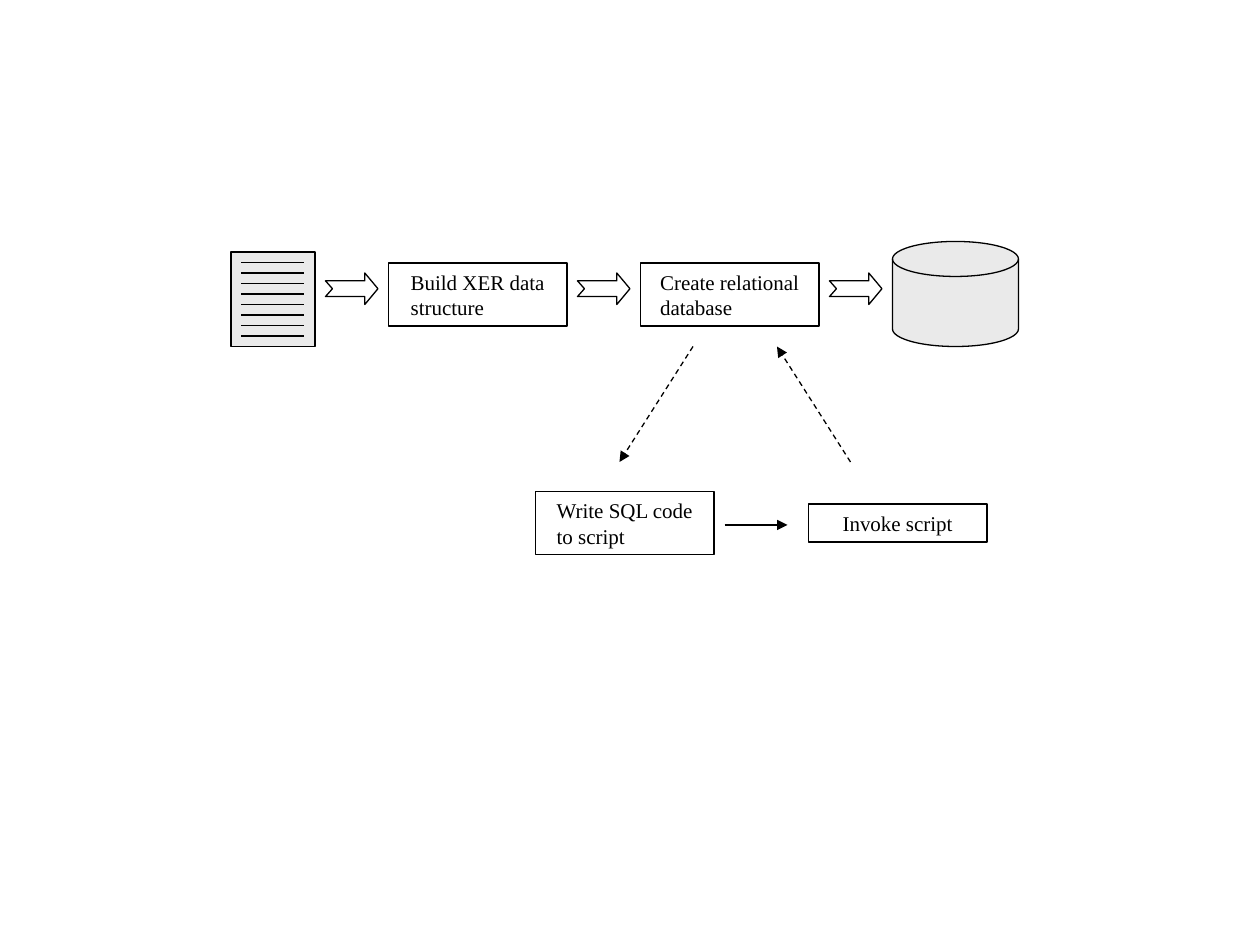
from pptx import Presentation
from pptx.util import Pt
from pptx.dml.color import RGBColor as RGB
from pptx.enum.dml import MSO_LINE as Dash
from pptx.enum.shapes import MSO_SHAPE as Shape, MSO_CONNECTOR as Link
from pptx.enum.text import MSO_ANCHOR as Anchor, PP_ALIGN as Align
from pptx.oxml.ns import qn
from lxml.etree import SubElement as Sub

COLORS = {"ink": "000000", "paper": "FFFFFF", "gray": "EAEAEA"}
FONT = "Times New Roman"
STEP = 144  # distance between stages of the upper row


def color(name):
    return RGB.from_string(COLORS[name])


def write(frame, text, size=12, ink="ink", align=Align.LEFT):
    """Put one paragraph in a frame, its block centred in the shape."""
    frame.word_wrap = True
    frame.vertical_anchor = Anchor.MIDDLE
    frame._txBody.bodyPr.set("anchorCtr", "1")
    par = frame.paragraphs[0]
    par.alignment = align
    run = par.add_run()
    run.text = text
    run.font.name = FONT
    run.font.size = Pt(size)
    run.font.color.rgb = color(ink)


class Flow:
    def __init__(self, slide, ink="ink", width=0.75):
        self.slide = slide
        self.ink = ink
        self.width = width

    def style(self, item, fill=None):
        item.shadow.inherit = False
        if fill:
            item.fill.solid()
            item.fill.fore_color.rgb = color(fill)
        else:
            item.fill.background()
        self.stroke(item)

    def stroke(self, item):
        item.line.color.rgb = color(self.ink)
        item.line.width = Pt(self.width)

    def shape(self, kind, x, y, w, h, fill=None, home=None):
        home = home or self.slide.shapes
        item = home.add_shape(kind, Pt(x), Pt(y), Pt(w), Pt(h))
        self.style(item, fill)
        return item

    def box(self, text, x, y, h=36, w=102):
        item = self.shape(Shape.RECTANGLE, x, y, w, h)
        write(item.text_frame, text)

    def line(self, start, end, dash=None, head=False, home=None):
        home = home or self.slide.shapes
        item = home.add_connector(Link.STRAIGHT, *map(Pt, start + end))
        self.stroke(item)
        if dash:
            item.line.dash_style = dash
        if head:
            Sub(item.line._get_or_add_ln(), qn("a:tailEnd"), type="triangle")
        Sub(item._element.spPr, qn("a:effectLst"))

    def page(self, x, y, w=48, h=54, gap=6, rows=8):
        home = self.slide.shapes.add_group_shape().shapes
        self.shape(Shape.RECTANGLE, x, y, w, h, "gray", home)
        for row in range(1, rows + 1):
            top = y + gap * row
            self.line((x + gap, top), (x + w - gap, top), home=home)

    def arrow(self, x, y, w=30, h=18, tip=7.5, notch=4):
        neck, mid = w - tip, h / 2
        high, low = h / 4, h * 3 / 4
        dots = [(0, high), (neck, high), (neck, 0), (w, mid), (neck, h),
                (neck, low), (0, low), (notch, mid)]
        dots = [(Pt(x + dx), Pt(y + dy)) for dx, dy in dots]
        path = self.slide.shapes.build_freeform(*dots[0])
        path.add_line_segments(dots[1:], close=True)
        self.style(path.convert_to_shape(), "paper")


def main():
    deck = Presentation()
    deck.slide_width, deck.slide_height = Pt(720), Pt(540)
    flow = Flow(deck.slides.add_slide(deck.slide_layouts[6]))

    # Upper row: source page, two steps, database
    for i, text in enumerate(["Build XER data structure",
                              "Create relational database"]):
        flow.box(text, 222 + STEP * i, 150.3)
    flow.page(132, 144)
    flow.shape(Shape.FLOWCHART_MAGNETIC_DISK, 510, 138, 72, 60, "gray")
    for i in range(3):
        flow.arrow(186 + STEP * i, 156)

    # Lower row: how the database is created
    flow.box("Write SQL code to script", 306, 281)
    flow.box("Invoke script", 462, 288, h=21.8)
    flow.line((414, 300), (450, 300), head=True)

    # Dashed detour between the rows
    flow.line((396, 198), (354, 264), Dash.DASH, head=True)
    flow.line((486, 264), (444, 198), Dash.DASH, head=True)

    deck.save("out.pptx")


if __name__ == "__main__":
    main()
